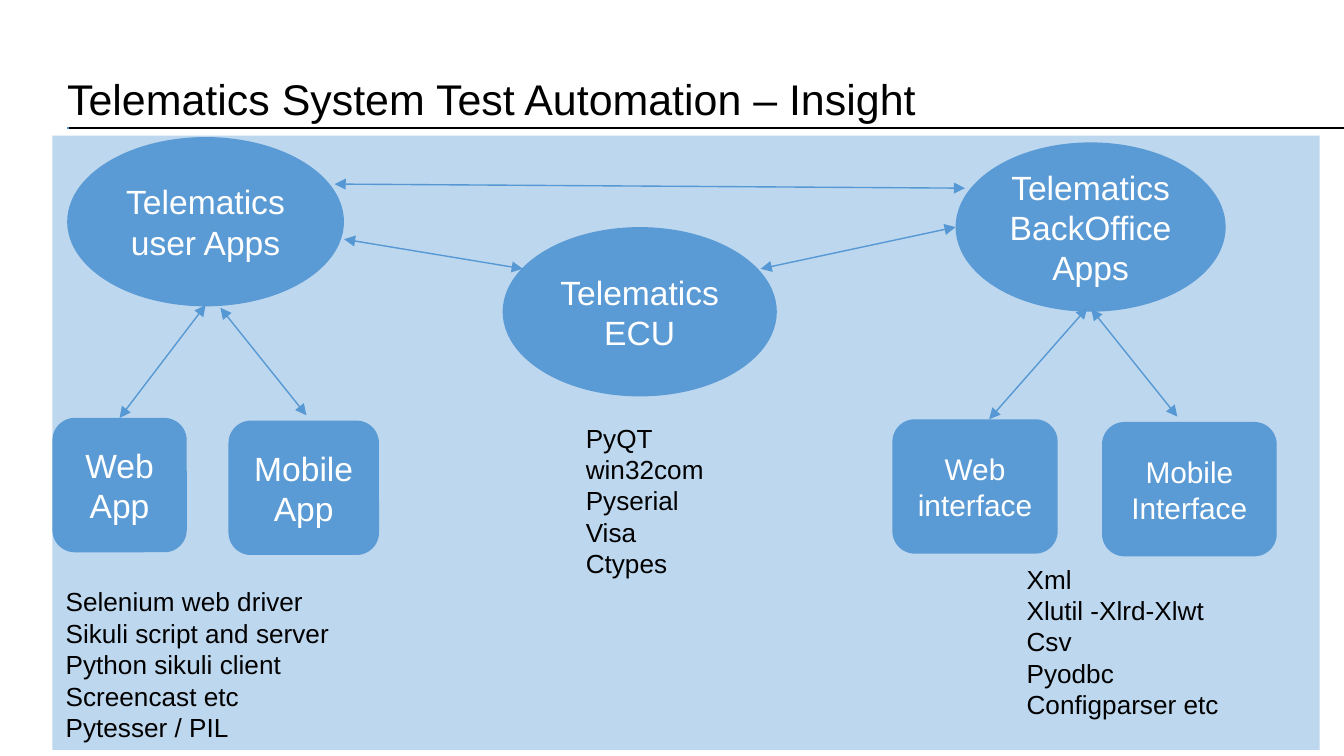
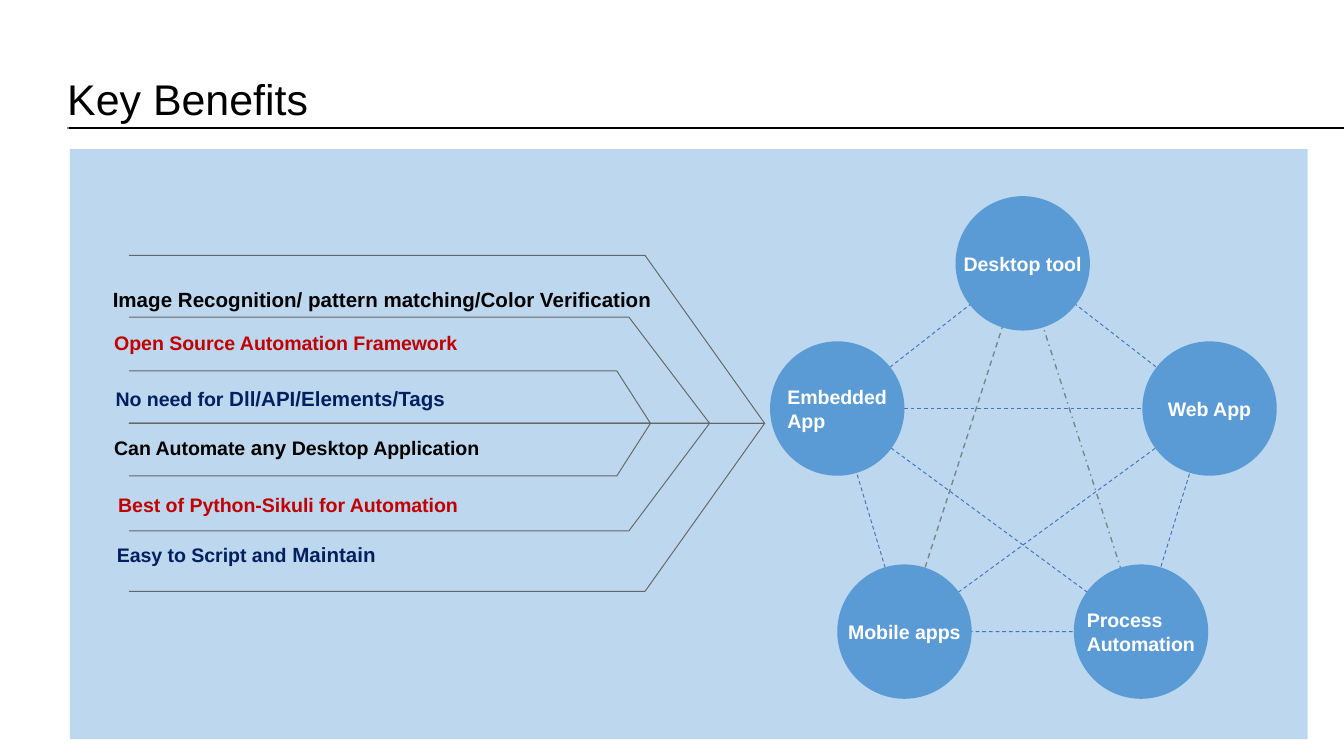
from itertools import combinations

from lxml.etree import SubElement
from pptx import Presentation
from pptx.dml.color import RGBColor
from pptx.enum.dml import MSO_LINE
from pptx.enum.shapes import MSO_CONNECTOR, MSO_SHAPE
from pptx.enum.text import MSO_ANCHOR, MSO_AUTO_SIZE, PP_ALIGN
from pptx.oxml.ns import qn
from pptx.util import Pt

PX = 9144  # EMU per px, 100 px to the inch
SLIDE_WIDTH = 1000
FONT = "Arial"
BLACK, WHITE, RED, NAVY = "000000", "FFFFFF", "C00000", "002060"
NODE_BLUE, PANEL_BLUE, ARROW_BLUE = "5B9BD5", "BDD7EE", "5698D3"
LINK_BLUE, LINK_GRAY, BONE_GRAY = "4472C4", "778888", "666666"
CIRCLE = 100


def rgb(hex_string):
    return RGBColor.from_string(hex_string)


def emu(*lengths):
    return [length * PX for length in lengths]


def format_text(frame, size, color, bold=False, align=PP_ALIGN.LEFT):
    for paragraph in frame.paragraphs:
        paragraph.alignment = align
        for run in paragraph.runs:
            run.font.name = FONT
            run.font.size = Pt(size)
            run.font.bold = bold
            run.font.color.rgb = rgb(color)


def set_insets(frame, left, top, right, bottom):
    (frame.margin_left, frame.margin_top,
     frame.margin_right, frame.margin_bottom) = emu(left, top, right, bottom)


def add_filled(slide, preset, box, color):
    shape = slide.shapes.add_shape(preset, *emu(*box))
    shape.shadow.inherit = False
    shape.fill.solid()
    shape.fill.fore_color.rgb = rgb(color)
    shape.line.fill.background()
    return shape


def add_node(slide, preset, box, label, size=18):
    node = add_filled(slide, preset, box, NODE_BLUE)
    node.text_frame.text = label
    format_text(node.text_frame, size, WHITE, align=PP_ALIGN.CENTER)
    return node


def add_circle(slide, center, label):
    """Add a circle whose left-aligned label is centred as a block."""
    x, y = center
    box = (x - CIRCLE // 2, y - CIRCLE // 2, CIRCLE, CIRCLE)
    frame = add_filled(slide, MSO_SHAPE.OVAL, box, NODE_BLUE).text_frame
    frame.text = label
    frame.word_wrap = False
    set_insets(frame, 4, 5, 4, 5)
    frame._txBody.find(qn("a:bodyPr")).set("anchorCtr", "1")
    format_text(frame, 10.5, WHITE, bold=True)


def add_line(slide, start, end, color, width, dash=None, arrows=False):
    line = slide.shapes.add_connector(MSO_CONNECTOR.STRAIGHT, *emu(*start, *end))
    line.line.color.rgb = rgb(color)
    line.line.width = Pt(width)
    if dash:
        line.line.dash_style = dash
    properties = line._element.spPr
    if arrows:
        outline = properties.find(qn("a:ln"))
        for tip in ("a:headEnd", "a:tailEnd"):
            SubElement(outline, qn(tip), type="triangle")
    SubElement(properties, qn("a:effectLst"))
    return line


def add_outline(slide, points, color, dash=None, close=False):
    builder = slide.shapes.build_freeform(*points[0], scale=PX)
    builder.add_line_segments(points[1:], close=close)
    outline = builder.convert_to_shape()
    outline.shadow.inherit = False
    outline.fill.background()
    outline.line.color.rgb = rgb(color)
    outline.line.width = Pt(0.5)
    if dash:
        outline.line.dash_style = dash


def add_tool_list(slide, box, tools, wrap=True):
    frame = slide.shapes.add_textbox(*emu(*box)).text_frame
    frame.text = "\n".join(tools)
    frame.word_wrap = wrap
    frame.auto_size = MSO_AUTO_SIZE.SHAPE_TO_FIT_TEXT
    format_text(frame, 14, BLACK)


def add_benefit(slide, box, color, parts, align=PP_ALIGN.LEFT):
    """Add a bold label made of (text, size) parts."""
    frame = slide.shapes.add_textbox(*emu(*box)).text_frame
    frame.word_wrap = True
    frame.vertical_anchor = MSO_ANCHOR.MIDDLE
    set_insets(frame, 6, 6, 6, 6)
    for text, _ in parts:
        frame.paragraphs[0].add_run().text = text
    format_text(frame, 10.5, color, bold=True, align=align)
    for run, (_, size) in zip(frame.paragraphs[0].runs, parts):
        run.font.size = Pt(size)


def start_slide(deck, title, panel):
    """Add a slide with the shared title, title rule and background panel."""
    slide = deck.slides.add_slide(deck.slide_layouts[6])
    for left, color in ((50, NODE_BLUE), (51, BLACK)):
        add_line(slide, (left, 95), (SLIDE_WIDTH, 95), color, 1)
    add_filled(slide, MSO_SHAPE.RECTANGLE, panel, PANEL_BLUE)
    frame = slide.shapes.add_textbox(*emu(50, 10, 900, 82)).text_frame
    frame.text = title
    frame.word_wrap = True
    frame.vertical_anchor = MSO_ANCHOR.BOTTOM
    set_insets(frame, 0, 5, 0, 0)
    format_text(frame, 23, BLACK)
    return slide


def build_insight(deck):
    slide = start_slide(deck, "Telematics System Test Automation – Insight",
                        (39, 101, 943, 457))
    for box, label in (
        ((374, 169, 204, 126), "Telematics ECU"),
        ((711, 106, 201, 126), "Telematics BackOffice Apps"),
        ((50, 102, 206, 126), "Telematics user Apps"),
    ):
        add_node(slide, MSO_SHAPE.OVAL, box, label)

    rounded = MSO_SHAPE.ROUNDED_RECTANGLE
    web_app = add_node(slide, rounded, (39, 311, 100, 100), "Web App")
    add_node(slide, rounded, (170, 313, 112, 100), "Mobile App")
    add_node(slide, rounded, (664, 312, 123, 100), "Web interface", 16)
    add_node(slide, rounded, (820, 314, 130, 100), "Mobile Interface", 16)

    web_app_link = add_line(slide, (153, 227), (89, 311), ARROW_BLUE, 0.75, arrows=True)
    web_app_link.end_connect(web_app, 0)
    for start, end in (
        ((256, 178), (389, 200)),
        ((566, 200), (711, 169)),
        ((164, 229), (228, 309)),
        ((809, 229), (736, 312)),
        ((812, 230), (876, 310)),
        ((249, 137), (718, 140)),
    ):
        add_line(slide, start, end, ARROW_BLUE, 0.75, arrows=True)

    add_tool_list(slide, (426, 309, 109, 158),
                  ["PyQT", "win32com", "Pyserial", "Visa", "Ctypes"])
    add_tool_list(slide, (39, 431, 217, 128),
                  ["Selenium web driver", "Sikuli script and server",
                   "Python sikuli client", "Screencast etc", "Pytesser / PIL"],
                  wrap=False)
    add_tool_list(slide, (754, 414, 217, 151),
                  ["Xml", "Xlutil -Xlrd-Xlwt", "Csv", "Pyodbc", "Configparser etc"])


def add_fishbone(slide):
    left, spine = 96, 315
    for top, bottom, bend, tip in (
        (190, 440, 480, 569),
        (236, 395, 468, 528),
        (276, 354, 459, 484),
    ):
        for y in (top, bottom):
            add_outline(slide, [(left, y), (bend, y), (tip, spine), (left, spine)],
                        BONE_GRAY)


def add_network(slide):
    """Join every pair of circles: neighbours by one ring, the rest by diagonals."""
    centers = {
        "Mobile apps": (673, 470),
        "Embedded\nApp": (623, 304),
        "Desktop tool": (761, 196),
        "Web App": (900, 304),
        "Process\nAutomation": (849, 470),
    }
    special = {
        ("Mobile apps", "Desktop tool"): (LINK_GRAY, 0.75, MSO_LINE.DASH),
        ("Desktop tool", "Process\nAutomation"): (LINK_GRAY, 0.75, MSO_LINE.DASH_DOT),
    }
    names = list(centers)
    add_outline(slide, list(centers.values()), LINK_BLUE, MSO_LINE.DASH, close=True)
    for first, second in combinations(names, 2):
        if names.index(second) - names.index(first) in (2, 3):
            style = special.get((first, second), (LINK_BLUE, 0.5, MSO_LINE.DASH))
            add_line(slide, centers[first], centers[second], *style)
    for label, center in centers.items():
        add_circle(slide, center, label)


def build_benefits(deck):
    slide = start_slide(deck, "Key Benefits", (52, 111, 921, 439))
    add_fishbone(slide)
    add_benefit(slide, (72, 200, 425, 45), BLACK,
                [("Image Recognition/ pattern matching/Color Verification", 11)],
                PP_ALIGN.CENTER)
    for box, color, parts in (
        ((79, 235, 309, 40), RED, [("Open Source Automation Framework", 10.5)]),
        ((80, 277, 368, 39), NAVY,
         [("No need for ", 10.5), ("Dll/API/Elements/Tags", 11)]),
        ((79, 313, 336, 39), BLACK,
         [("Can Automate ", 10.5), ("any", 11), (" Desktop Application", 10.5)]),
        ((82, 356, 366, 39), RED, [("Best of Python-Sikuli for Automation", 10.5)]),
        ((81, 390, 256, 45), NAVY, [("Easy to Script and ", 10.5), ("Maintain", 11)]),
    ):
        add_benefit(slide, box, color, parts)
    add_network(slide)


def main():
    deck = Presentation()
    deck.slide_width = SLIDE_WIDTH * PX
    deck.slide_height = deck.slide_width * 9 // 16
    build_insight(deck)
    build_benefits(deck)
    deck.save("out.pptx")


if __name__ == "__main__":
    main()
